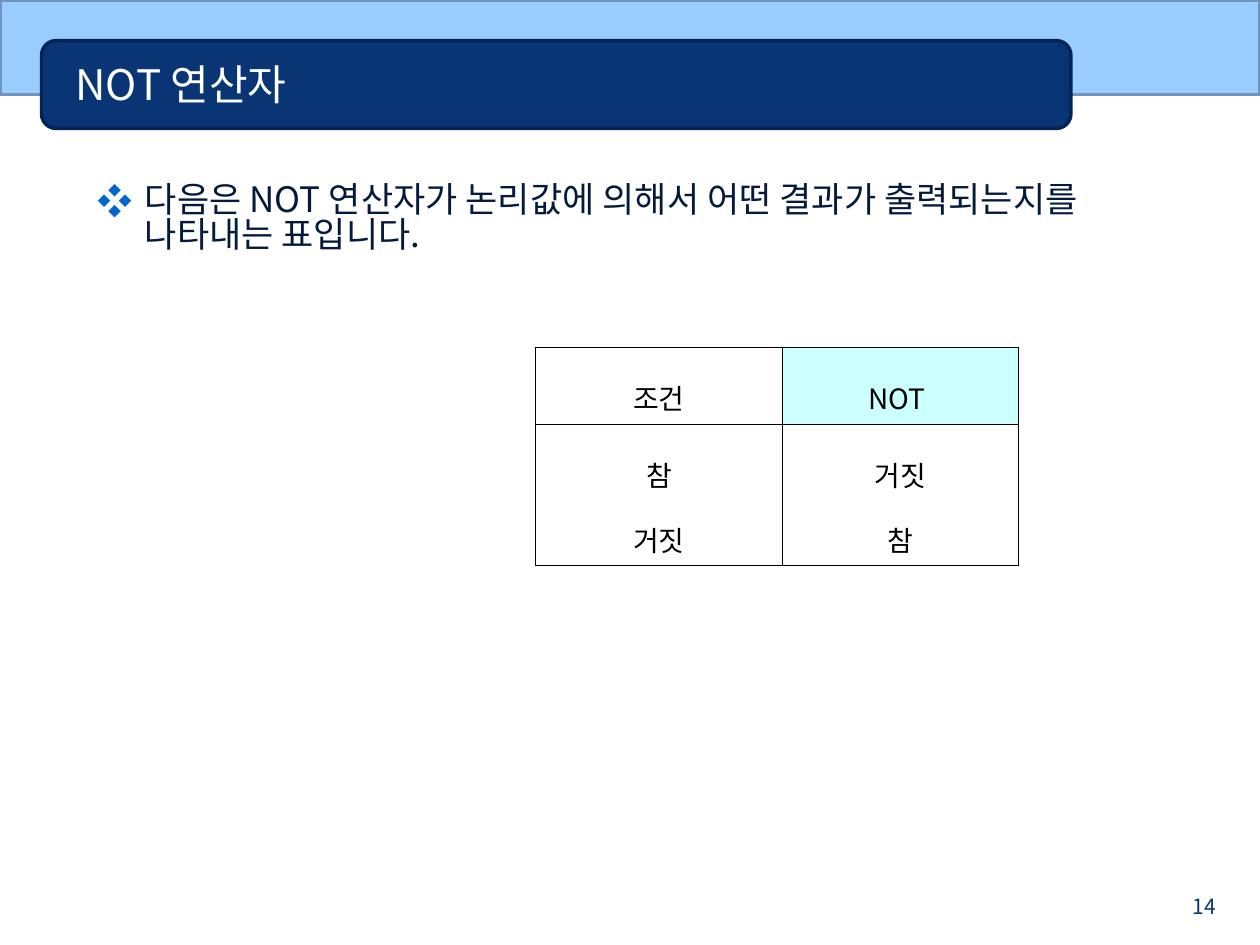
from lxml.etree import SubElement
from pptx import Presentation
from pptx.dml.color import RGBColor
from pptx.enum.shapes import MSO_SHAPE
from pptx.enum.text import MSO_ANCHOR, MSO_AUTO_SIZE, PP_ALIGN
from pptx.oxml.ns import qn
from pptx.util import Inches, Pt

HUES = {
    "sky": "99CCFF", "edge": "6F95BC", "navy": "093575", "rim": "052454",
    "ink": "051A3B", "mark": "0066CC", "tint": "CCFFFF",
    "white": "FFFFFF", "black": "000000",
}


class Deck:
    """Holds the style and the current slide, with lengths as shares of its size."""

    def __init__(self, wide, high, font):
        self.file = Presentation()
        self.file.slide_width, self.file.slide_height = Inches(wide), Inches(high)
        self.wide, self.high, self.font = wide, high, font
        self.page = self.file.slides.add_slide(self.file.slide_layouts[1])

    def area(self, x, y, w, h):
        return [Inches(part * size) for part, size in
                zip((x, y, w, h), (self.wide, self.high) * 2)]

    def hue(self, name):
        return RGBColor.from_string(HUES[name])

    def style(self, frame, size, color, align=PP_ALIGN.LEFT):
        for para in frame.paragraphs:
            para.alignment = align
            for run in para.runs:
                run.font.size = Pt(size)
                run.font.name = self.font
                run.font.color.rgb = self.hue(color)
                SubElement(run.font._element, qn("a:ea"), typeface=self.font)

    def bar(self, kind, box, fill, line):
        shape = self.page.shapes.add_shape(kind, *self.area(*box))
        shape.shadow.inherit = False
        shape.fill.solid()
        shape.fill.fore_color.rgb = self.hue(fill)
        shape.line.color.rgb = self.hue(line)
        shape.line.width = Pt(2)

    def holder(self, index, box, text, size, color, anchor):
        shape = self.page.placeholders[index]
        shape.left, shape.top, shape.width, shape.height = self.area(*box)
        shape.element.getparent().append(shape.element)
        frame = shape.text_frame
        frame.text = text
        frame.auto_size = MSO_AUTO_SIZE.NONE
        frame.vertical_anchor = anchor
        self.style(frame, size, color)
        return frame

    def title(self, box, text):
        self.holder(0, box, text, 24, "white", MSO_ANCHOR.MIDDLE)

    def bullet(self, box, text):
        frame = self.holder(1, box, text, 20, "ink", MSO_ANCHOR.TOP)
        para = frame.paragraphs[0]
        para.space_before = Pt(24)
        para.line_spacing = 0.83
        props = para._p.get_or_add_pPr()
        props.set("marL", str(Inches(0.38)))
        props.set("indent", str(-Inches(0.38)))
        SubElement(SubElement(props, qn("a:buClr")), qn("a:srgbClr"), val=HUES["mark"])
        SubElement(props, qn("a:buFont"), typeface=self.font)
        SubElement(props, qn("a:buChar"), char="❖")

    def label(self, box, text, size, color):
        frame = self.page.shapes.add_textbox(*self.area(*box)).text_frame
        frame.word_wrap = True
        frame.text = text
        self.style(frame, size, color, PP_ALIGN.RIGHT)

    def border(self, cell):
        props = cell._tc.get_or_add_tcPr()
        for spot, side in enumerate(("lnL", "lnR", "lnT", "lnB")):
            line = props.makeelement(qn("a:" + side), {"w": str(Pt(0.11))})
            fill = SubElement(line, qn("a:solidFill"))
            SubElement(fill, qn("a:srgbClr"), val=HUES["black"])
            props.insert(spot, line)

    def cell(self, cell, text, fill):
        cell.text = text
        cell.vertical_anchor = MSO_ANCHOR.MIDDLE
        cell.margin_left = cell.margin_right = Inches(0.02)
        if fill:
            cell.fill.solid()
            cell.fill.fore_color.rgb = self.hue(fill)
        else:
            cell.fill.background()
        self.style(cell.text_frame, 16, "black", PP_ALIGN.CENTER)
        for para in cell.text_frame.paragraphs:
            para.line_spacing = 1.6
        self.border(cell)

    def table(self, box, cols, rows, data, fills):
        grid = self.page.shapes.add_table(len(rows), len(cols), *self.area(*box)).table
        grid.first_row = grid.horz_banding = False
        for col, size in zip(grid.columns, cols):
            col.width = Inches(size * self.wide)
        for row, size in zip(grid.rows, rows):
            row.height = Inches(size * self.high)
        for r, line in enumerate(data):
            for c, text in enumerate(line):
                self.cell(grid.cell(r, c), text, fills.get((r, c)))


def main():
    deck = Deck(10, 7.5, "Noto Sans CJK KR")
    deck.bar(MSO_SHAPE.RECTANGLE, (0, 0, 1, 0.1), "sky", "edge")
    deck.bar(MSO_SHAPE.ROUNDED_RECTANGLE, (0.033, 0.043, 0.817, 0.093), "navy", "rim")
    deck.label((0.925, 0.939, 0.05, 0.028), "14", 12, "navy")
    deck.title((0.05, 0.047, 0.792, 0.083), "NOT 연산자")
    deck.bullet((0.067, 0.189, 0.875, 0.344),
                "다음은 NOT 연산자가 논리값에 의해서 어떤 결과가 출력되는지를 나타내는 표입니다.")
    deck.table((0.425, 0.367, 0.383, 0.183), (0.196, 0.187), (0.073, 0.141),
               (("조건", "NOT "), ("참\n거짓", "거짓\n참")), {(0, 1): "tint"})
    deck.file.save("out.pptx")


if __name__ == "__main__":
    main()
